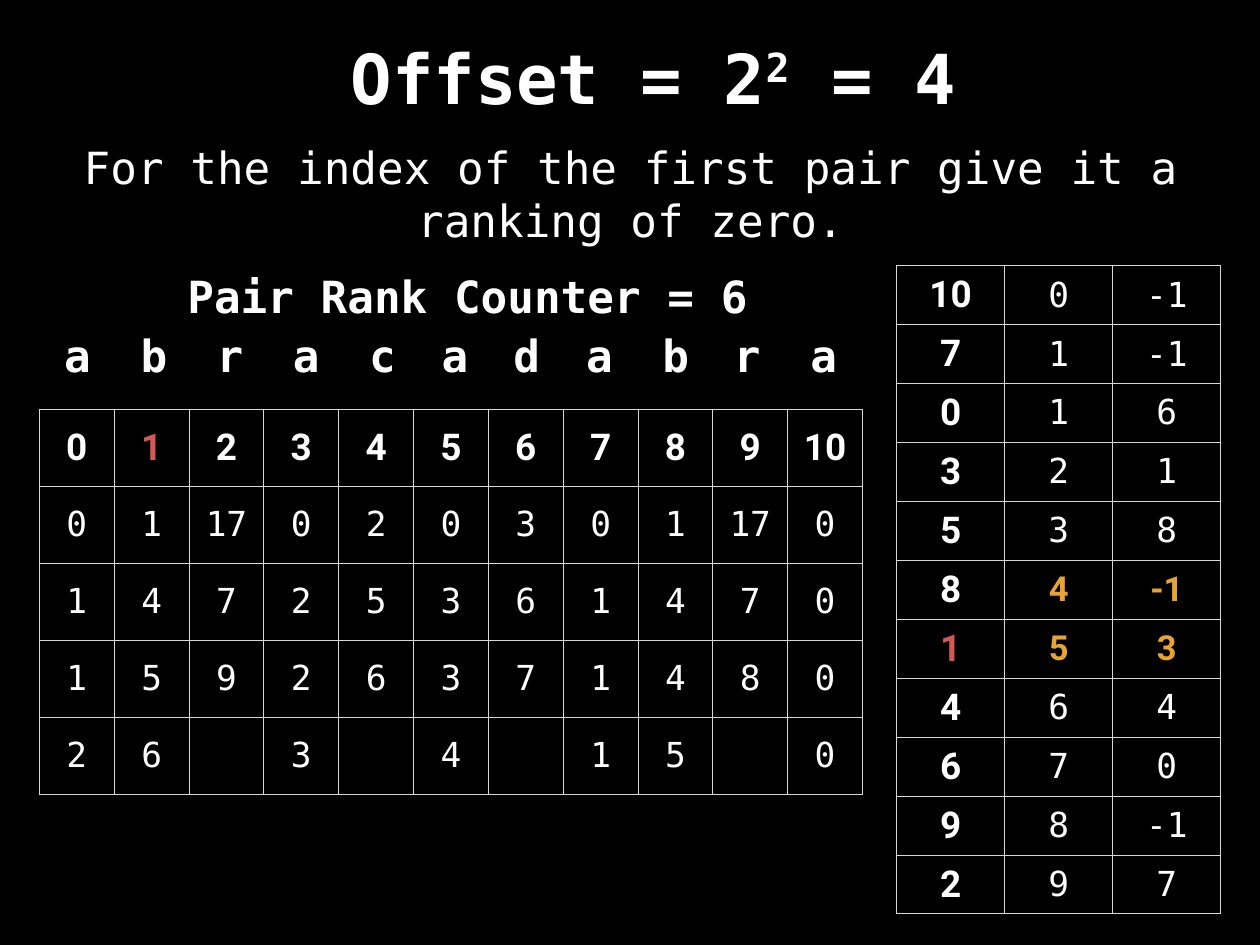
from lxml import etree
from pptx import Presentation
from pptx.dml.color import RGBColor
from pptx.enum.text import MSO_ANCHOR, MSO_AUTO_SIZE, PP_ALIGN
from pptx.oxml.ns import qn
from pptx.util import Cm, Pt

CENTER, LEFT = PP_ALIGN.CENTER, PP_ALIGN.LEFT
MIDDLE = MSO_ANCHOR.MIDDLE
GROW = MSO_AUTO_SIZE.SHAPE_TO_FIT_TEXT
TITLE_ONLY = 5

MONO, SANS = "DejaVu Sans Mono", "Roboto"
BLACK, WHITE, RED, ORANGE, GRID = "000000", "FFFFFF", "D45854", "E8A432", "D6D7D6"
INSET = Cm(0.14)

# Lefts of the letters, measured from the left of their row
LETTER_LEFTS = [0, 2.19, 4.37, 6.56, 8.74, 10.82, 12.88, 14.96, 17.15, 19.2, 21.39]

# Position in the word, then its rank after each round
INDEX_ROWS = [
    [0, 1, 2, 3, 4, 5, 6, 7, 8, 9, 10],
    [0, 1, 17, 0, 2, 0, 3, 0, 1, 17, 0],
    [1, 4, 7, 2, 5, 3, 6, 1, 4, 7, 0],
    [1, 5, 9, 2, 6, 3, 7, 1, 4, 8, 0],
    [2, 6, "", 3, "", 4, "", 1, 5, "", 0],
]

# Suffix position and its pair of ranks
PAIR_ROWS = [
    [10, 0, -1], [7, 1, -1], [0, 1, 6], [3, 2, 1], [5, 3, 8], [8, 4, -1],
    [1, 5, 3], [4, 6, 4], [6, 7, 0], [9, 8, -1], [2, 9, 7],
]

HEADER = (SANS, 30, WHITE, True)
CURRENT = (SANS, 30, RED, True)
COMPARED = (SANS, 28, ORANGE, True)
PLAIN = (MONO, 28, WHITE, False)


def rgb(value):
    return RGBColor.from_string(value)


def add_run(p, text, font, size, color, bold):
    r = p.add_run()
    r.text = text
    r.font.name = font
    r.font.size = Pt(size)
    r.font.bold = bold
    r.font.color.rgb = rgb(color)
    return r


def set_insets(target):
    target.margin_left = target.margin_right = INSET
    target.margin_top = target.margin_bottom = INSET
    target.vertical_anchor = MIDDLE


def prepare_frame(tf, align, wrap):
    set_insets(tf)
    tf.word_wrap = wrap
    tf.auto_size = GROW
    p = tf.paragraphs[0]
    p.alignment = align
    return p


def add_label(s, text, box, size=36, bold=True, align=CENTER, wrap=False):
    sp = s.shapes.add_textbox(*(Cm(v) for v in box))
    p = prepare_frame(sp.text_frame, align, wrap)
    add_run(p, text, MONO, size, WHITE, bold)


def add_title(s, box):
    sp = s.shapes.title
    sp.left, sp.top, sp.width, sp.height = (Cm(v) for v in box)
    p = prepare_frame(sp.text_frame, CENTER, True)
    add_run(p, "Offset = 2", MONO, 56, WHITE, True)
    power = add_run(p, "2", MONO, 56, WHITE, True)
    power._r.get_or_add_rPr().set("baseline", "32000")
    add_run(p, " = 4", MONO, 56, WHITE, True)


def add_letters(s, word, box):
    left, top, width, height = box
    for letter, offset in zip(word, LETTER_LEFTS):
        add_label(s, letter, (left + offset, top, width, height), align=LEFT)


def set_borders(cell):
    tcPr = cell._tc.get_or_add_tcPr()
    for i, side in enumerate(("a:lnL", "a:lnR", "a:lnT", "a:lnB")):
        ln = etree.Element(qn(side), w=str(Pt(1)))
        fill = etree.SubElement(ln, qn("a:solidFill"))
        etree.SubElement(fill, qn("a:srgbClr"), val=GRID)
        tcPr.insert(i, ln)


def add_number_table(s, rows, box, style_of):
    left, top, width, height = box
    frame = s.shapes.add_table(len(rows), len(rows[0]), *(Cm(v) for v in box))
    table = frame.table
    table.first_row = table.horz_banding = False
    for column in table.columns:
        column.width = Cm(width / len(rows[0]))
    for i, values in enumerate(rows):
        table.rows[i].height = Cm(height / len(rows))
        for j, value in enumerate(values):
            cell = table.cell(i, j)
            set_insets(cell)
            cell.fill.solid()
            cell.fill.fore_color.rgb = rgb(BLACK)
            set_borders(cell)
            p = cell.text_frame.paragraphs[0]
            p.alignment = CENTER
            if value != "":
                add_run(p, str(value), *style_of(i, j))


def index_style(i, j):
    if i > 0:
        return PLAIN
    return CURRENT if j == 1 else HEADER


def pair_style(i, j):
    if j == 0:
        return CURRENT if i == 6 else HEADER
    return COMPARED if i in (5, 6) else PLAIN


def main():
    prs = Presentation()
    prs.slide_width, prs.slide_height = Cm(36.12), Cm(27.1)
    s = prs.slides.add_slide(prs.slide_layouts[TITLE_ONLY])
    s.background.fill.solid()
    s.background.fill.fore_color.rgb = rgb(BLACK)

    # Heading and explanation
    add_title(s, (6, 0.91, 25.45, 2.57))
    add_label(s, "For the index of the first pair give it a ranking of zero.",
              (1.45, 3.96, 33.25, 3.18), bold=False, wrap=True)

    # Word with its ranks
    add_label(s, "Pair Rank Counter = 6", (5.21, 7.62, 16.38, 1.73))
    add_letters(s, "abracadabra", (1.7, 9.3, 1.09, 1.73))
    add_number_table(s, INDEX_ROWS, (1.13, 11.73, 23.6, 11.05), index_style)

    # Sorted pairs
    add_number_table(s, PAIR_ROWS, (25.7, 7.62, 9.3, 18.59), pair_style)

    prs.save("out.pptx")


if __name__ == "__main__":
    main()
